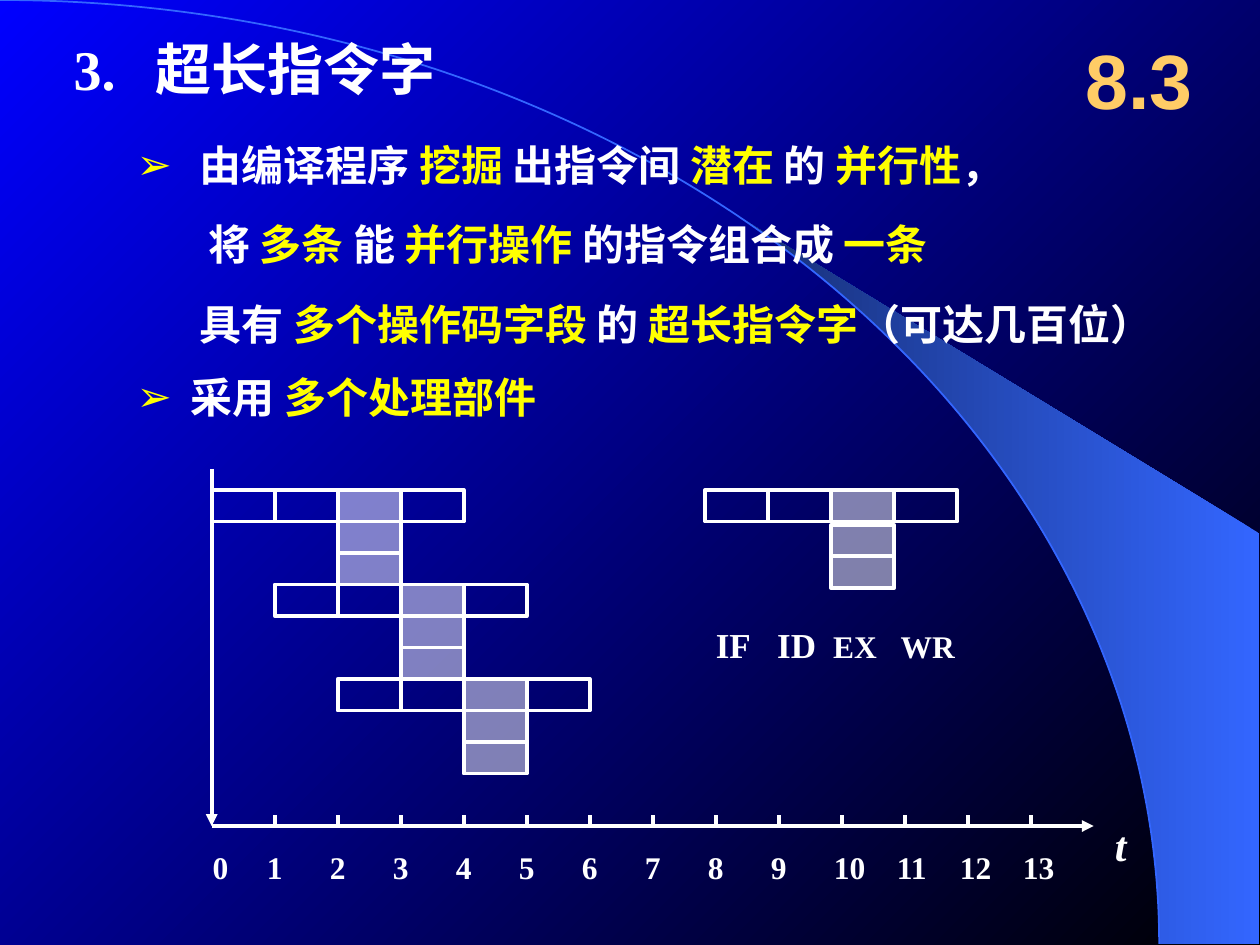
import math

import lxml.etree
import pptx
import pptx.dml.color
import pptx.enum.shapes
import pptx.enum.text
import pptx.oxml.ns
import pptx.util

Pt = pptx.util.Pt
SHAPE = pptx.enum.shapes.MSO_SHAPE
ANCHOR = pptx.enum.text.MSO_ANCHOR
ALIGN = pptx.enum.text.PP_ALIGN
COLORS = {"white": "FFFFFF", "yellow": "FFFF00", "gold": "FFCC66",
          "black": "000000", "blue": "0000FF", "sky": "3366FF", "navy": "172F75"}
CELL_W, CELL_H = 36, 18
LEFT, BASE = 121, 472


def rgb(name):
    return pptx.dml.color.RGBColor.from_string(COLORS[name])


def add(parent, tag, **attrs):
    return lxml.etree.SubElement(parent, pptx.oxml.ns.qn(tag), attrs)


def blend(fill, first, last, angle):
    fill.gradient()
    fill.gradient_angle = angle
    for stop, name, place in zip(fill.gradient_stops, (first, last), (0, 1)):
        stop.color.rgb = rgb(name)
        stop.position = place


class Deck:
    def __init__(self):
        self.file = pptx.Presentation()
        self.file.slide_width, self.file.slide_height = Pt(720), Pt(540)
        self.slide = self.file.slides.add_slide(self.file.slide_layouts[1])
        self.shapes = self.slide.shapes
        self.face = "Times New Roman"

    def place(self, shape, x, y, w, h):
        shape.left, shape.top, shape.width, shape.height = map(Pt, (x, y, w, h))

    def frame(self, shape, anchor=ANCHOR.TOP, side=7.2, edge=3.6):
        frame = shape.text_frame
        frame.word_wrap = True
        frame.auto_size = pptx.enum.text.MSO_AUTO_SIZE.NONE
        frame.vertical_anchor = anchor
        frame.margin_left = frame.margin_right = Pt(side)
        frame.margin_top = frame.margin_bottom = Pt(edge)
        return frame

    def style(self, para, size, color="white", face=None, align=ALIGN.LEFT):
        para.alignment = align
        para.font.size, para.font.bold = Pt(size), True
        para.font.name = face or self.face
        para.font.color.rgb = rgb(color)

    def tabs(self, para, stops):
        if stops:
            group = add(para._p.get_or_add_pPr(), "a:tabLst")
            for stop in stops:
                add(group, "a:tab", pos=str(Pt(stop)), algn="l")

    def title(self, text, box, size, stop):
        shape = self.shapes.title
        self.place(shape, *box)
        para = self.frame(shape, ANCHOR.MIDDLE, 0).paragraphs[0]
        para.add_run().text = text
        self.tabs(para, [stop])
        self.style(para, size)

    def body(self, items, box, size, pitch):
        """Fill the list; in each text, every second part cut by | is yellow."""
        shape = self.slide.placeholders[1]
        self.place(shape, *box)
        frame = self.frame(shape, side=0, edge=0)
        for row, (text, indent, mark, gap) in enumerate(items):
            para = frame.add_paragraph() if row else frame.paragraphs[0]
            props = para._p.get_or_add_pPr()
            props.set("marL", str(Pt(indent)))
            props.set("indent", str(Pt(-indent if mark else 0)))
            if mark:
                add(add(props, "a:buClr"), "a:srgbClr", val=COLORS["yellow"])
                add(props, "a:buChar", char="➢")
            else:
                add(props, "a:buNone")
            para.line_spacing, para.space_before = Pt(pitch), Pt(gap)
            self.style(para, size)
            for part, words in enumerate(text.split("|")):
                run = para.add_run()
                run.text = words
                if part % 2:
                    run.font.color.rgb = rgb("yellow")

    def label(self, runs, box, stops=(), anchor=ANCHOR.TOP, italic=False, **look):
        """Add a text box from (text, size) runs."""
        frame = self.frame(self.shapes.add_textbox(*map(Pt, box)), anchor)
        para = frame.paragraphs[0]
        self.tabs(para, stops)
        self.style(para, runs[0][1], **look)
        if italic:
            para.font.italic = True
        for text, size in runs:
            run = para.add_run()
            run.text = text
            if size != runs[0][1]:
                run.font.size = Pt(size)

    def cell(self, x, y, shade=False):
        shape = self.shapes.add_shape(SHAPE.RECTANGLE, *map(Pt, (x, y, CELL_W, CELL_H)))
        shape.shadow.inherit = False
        shape.line.color.rgb, shape.line.width = rgb("white"), Pt(2.25)
        if shade:
            shape.fill.solid()
            shape.fill.fore_color.rgb = rgb("white")
            tint = shape._element.spPr.find(".//" + pptx.oxml.ns.qn("a:srgbClr"))
            add(tint, "a:alpha", val="50000")
        else:
            shape.fill.background()

    def word(self, x, y, gap=0):
        """Draw one instruction: four stages, with three units stacked at EX."""
        for stage in range(4):
            self.cell(x + stage * CELL_W, y, stage == 2)
        for unit in (1, 2):
            self.cell(x + 2 * CELL_W, y + gap + unit * CELL_H, True)

    def line(self, x1, y1, x2, y2, arrow=False):
        kind = pptx.enum.shapes.MSO_CONNECTOR.STRAIGHT
        line = self.shapes.add_connector(kind, *map(Pt, (x1, y1, x2, y2)))
        line.line.color.rgb, line.line.width = rgb("white"), Pt(2.25)
        if arrow:
            add(line.line._get_or_add_ln(), "a:tailEnd", type="triangle")
        add(line._element.spPr, "a:effectLst")

    def decor(self):
        """Draw the large arc and the lit wedge that follows it."""
        wide, tall, start = 662.4, 539.3, math.asin(424 / 662.4)
        steps = 24
        turns = [start + (math.pi / 2 - start) * i / steps for i in range(steps + 1)]
        curve = [(wide * math.sin(t), tall * (1 - math.cos(t))) for t in turns]
        pen = self.shapes.build_freeform(Pt(719.3), Pt(tall), scale=1.0)
        pen.add_line_segments([(Pt(x), Pt(y)) for x, y in [(719.3, 304.6)] + curve])
        wedge = pen.convert_to_shape()
        wedge.shadow.inherit = False
        wedge.line.fill.background()
        blend(wedge.fill, "sky", "navy", 180)
        arc = self.shapes.add_shape(SHAPE.ARC, *map(Pt, (-wide, 0, 2 * wide, 2 * tall)))
        arc.shadow.inherit = False
        arc.fill.background()
        arc.line.color.rgb, arc.line.width = rgb("sky"), Pt(1)


def main():
    deck = Deck()
    blend(deck.slide.background.fill, "black", "blue", 135)
    deck.decor()
    # Bring the title and list in front of the decor.
    tree = deck.shapes._spTree
    for holder in list(deck.slide.placeholders):
        tree.append(holder._element)

    deck.title("3.\t超长指令字", (42, 18, 300, 42), 32, 47)
    deck.body([
        ("由编译程序 |挖掘 |出指令间 |潜在 |的 |并行性|，", 36, True, 0),
        ("将 |多条 |能 |并行操作 |的指令组合成 |一条", 41, False, 5),
        ("具有 |多个操作码字段 |的 |超长指令字|（可达几百位）", 36, False, 6),
        ("采用 |多个处理部件", 31, True, 1.5),
    ], (78, 68.5, 630, 175), 24, 40)

    for step in range(3):
        deck.word(LEFT + step * CELL_W, 280 + step * 3 * CELL_H)
    deck.word(403, 280, gap=2)
    deck.label([("IF\tID\t", 20), ("EX\tWR", 18)], (402, 353, 160, 32),
               stops=(35, 67, 105.5))

    deck.line(LEFT, 268, LEFT, BASE, arrow=True)
    deck.line(LEFT, BASE, LEFT + 504, BASE, arrow=True)
    for tick in range(1, 14):
        x = LEFT + tick * CELL_W
        deck.line(x, BASE - 6, x, BASE)
    deck.label([("\t".join(map(str, range(14))), 18)], (114.5, 481, 510, 29),
               stops=[31 + CELL_W * i for i in range(13)])
    deck.label([("t", 24)], (630, 465, 30, 36), italic=True)
    deck.label([("8.3", 44)], (606, 12, 90, 66), anchor=ANCHOR.MIDDLE,
               color="gold", face="Arial", align=ALIGN.CENTER)
    deck.file.save("out.pptx")


if __name__ == "__main__":
    main()
